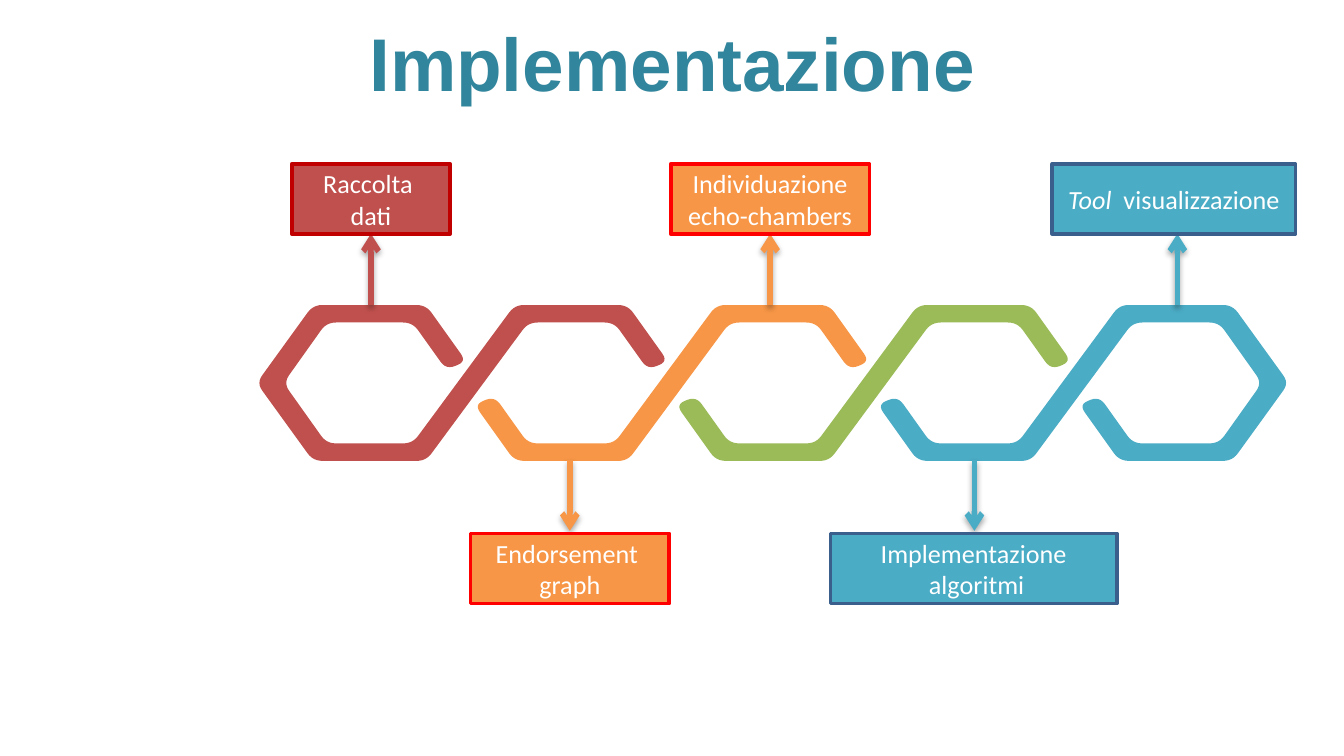
import pptx
import pptx.util
import pptx.dml.color
import pptx.enum.shapes
import pptx.enum.text
import pptx.oxml
import pptx.oxml.ns

Inches, Pt = pptx.util.Inches, pptx.util.Pt
SHAPE = pptx.enum.shapes.MSO_SHAPE
CENTER = pptx.enum.text.PP_ALIGN.CENTER
MIDDLE = pptx.enum.text.MSO_ANCHOR.MIDDLE

HUES = {"title": "31859C", "white": "FFFFFF", "red": "C0504D",
        "orange": "F79646", "green": "9BBB59", "blue": "4BACC6",
        "dark red": "C00000", "bright": "FF0000", "navy": "3A5F8C"}

# Chain geometry, relative to the centre of a link
PITCH = 1.5
ARM = [(-.42, -.58), (.42, -.58), (.72, -.16), (.57, -.1),
       (.32, -.45), (-.32, -.45)]
LOOP = [(.42, .58), (-.42, .58), (-.84, 0), *ARM,
        (-.64, 0), (-.32, .45), (.32, .45)]


def hue(name):
    return pptx.dml.color.RGBColor.from_string(HUES[name])


def turn(points):
    return [(-x, -y) for x, y in points]


def shift(points, dx):
    return [(x + dx, y) for x, y in points]


def soften(points, cut=.07, steps=6):
    """Replace each corner by a short quadratic curve."""
    curve = []
    for i, (x, y) in enumerate(points):
        ends = []
        for px, py in (points[i - 1], points[(i + 1) % len(points)]):
            size = ((px - x) ** 2 + (py - y) ** 2) ** .5
            part = min(cut / size, .5)
            ends.append((x + (px - x) * part, y + (py - y) * part))
        (ax, ay), (bx, by) = ends
        for n in range(steps + 1):
            t = n / steps
            u = 1 - t
            curve.append((u * u * ax + 2 * u * t * x + t * t * bx,
                          u * u * ay + 2 * u * t * y + t * t * by))
    return curve


def paint(shape, fill, line=None):
    shape.shadow.inherit = False
    shape.fill.solid()
    shape.fill.fore_color.rgb = hue(fill)
    if line:
        shape.line.color.rgb = hue(line)
        shape.line.width = Pt(2)
    else:
        shape.line.fill.background()


def add_title(slide, left, top, width, height):
    title = slide.shapes.title
    title.left, title.top = Inches(left), Inches(top)
    title.width, title.height = Inches(width), Inches(height)
    frame = title.text_frame
    frame.text = "Implementazione"
    frame.vertical_anchor = MIDDLE
    para = frame.paragraphs[0]
    para.alignment = CENTER
    font = para.font
    font.name, font.size, font.bold = "Arial", Pt(40), True
    font.color.rgb = hue("title")


def add_chain(slide, left, mid):
    """Four ribbons that link five hexagons, last one at the back."""
    group = slide.shapes.add_group_shape()
    wave = shift(ARM, PITCH) + turn(ARM)
    bands = [("red", shift(ARM, PITCH) + LOOP), ("orange", wave),
             ("green", wave), ("blue", shift(turn(LOOP), PITCH) + turn(ARM))]
    for i, (fill, band) in reversed(list(enumerate(bands))):
        x = left + i * PITCH
        core = group.shapes.add_shape(
            SHAPE.HEXAGON, Inches(x - .74), Inches(mid - .51),
            Inches(1.48), Inches(1.02))
        core.adjustments[0] = .36
        paint(core, "white")
        points = [(Inches(x + px), Inches(mid + py))
                  for px, py in soften(band)]
        pen = group.shapes.build_freeform(*points[0])
        pen.add_line_segments(points[1:], close=True)
        paint(pen.convert_to_shape(), fill)


def add_arrow(slide, x, start, end, fill):
    arrow = slide.shapes.add_connector(
        pptx.enum.shapes.MSO_CONNECTOR.STRAIGHT,
        Inches(x), Inches(start), Inches(x), Inches(end))
    arrow.line.color.rgb = hue(fill)
    arrow.line.width = Pt(3)
    space = pptx.oxml.ns.nsdecls("a")
    # Arrowhead and soft shadow
    outline = arrow._element.spPr.find(pptx.oxml.ns.qn("a:ln"))
    outline.append(pptx.oxml.parse_xml(f'<a:tailEnd {space} type="arrow"/>'))
    arrow._element.spPr.append(pptx.oxml.parse_xml(
        f'<a:effectLst {space}><a:outerShdw blurRad="{Pt(3.1)}" '
        f'dist="{Pt(1.8)}" dir="5400000" rotWithShape="0">'
        '<a:srgbClr val="000000"><a:alpha val="35000"/></a:srgbClr>'
        '</a:outerShdw></a:effectLst>'))


def add_label(slide, left, top, width, lines, fill, line):
    """Each line is a list of (text, italic) runs."""
    box = slide.shapes.add_shape(SHAPE.RECTANGLE, Inches(left), Inches(top),
                                 Inches(width), Inches(.52))
    paint(box, fill, line)
    frame = box.text_frame
    frame.word_wrap = True
    frame.vertical_anchor = MIDDLE
    for i, runs in enumerate(lines):
        para = frame.add_paragraph() if i else frame.paragraphs[0]
        para.alignment = CENTER
        font = para.font
        font.name, font.size = "Calibri", Pt(14)
        font.color.rgb = hue("white")
        for text, slant in runs:
            run = para.add_run()
            run.text = text
            if slant:
                run.font.italic = True


def main():
    deck = pptx.Presentation()
    deck.slide_width = Inches(10)
    deck.slide_height = Inches(10 * 9 / 16)
    slide = deck.slides.add_slide(deck.slide_layouts[5])
    add_title(slide, 0, .02, 10, .88)
    add_chain(slide, 2.75, 2.85)

    # Steps: arrow x, above the chain, label left, width, lines, fill, line
    steps = [
        (2.76, True, 2.17, 1.18, [[("Raccolta ", False)], [("dati", False)]],
         "red", "dark red"),
        (4.24, False, 3.5, 1.48,
         [[("Endorsement ", False)], [("graph", False)]],
         "orange", "bright"),
        (5.73, True, 4.99, 1.48, [[("Individuazione echo-chambers", False)]],
         "orange", "bright"),
        (7.25, False, 6.18, 2.13,
         [[("Implementazione", False)], [(" algoritmi", False)]],
         "blue", "navy"),
        (8.76, True, 7.83, 1.81,
         [[("Tool", True), ("  visualizzazione", False)]], "blue", "navy"),
    ]
    for x, above, left, width, lines, fill, line in steps:
        start, end, top = (2.27, 1.74, 1.22) if above else (3.42, 3.95, 3.97)
        add_arrow(slide, x, start, end, fill)
        add_label(slide, left, top, width, lines, fill, line)
    deck.save("out.pptx")


if __name__ == "__main__":
    main()
